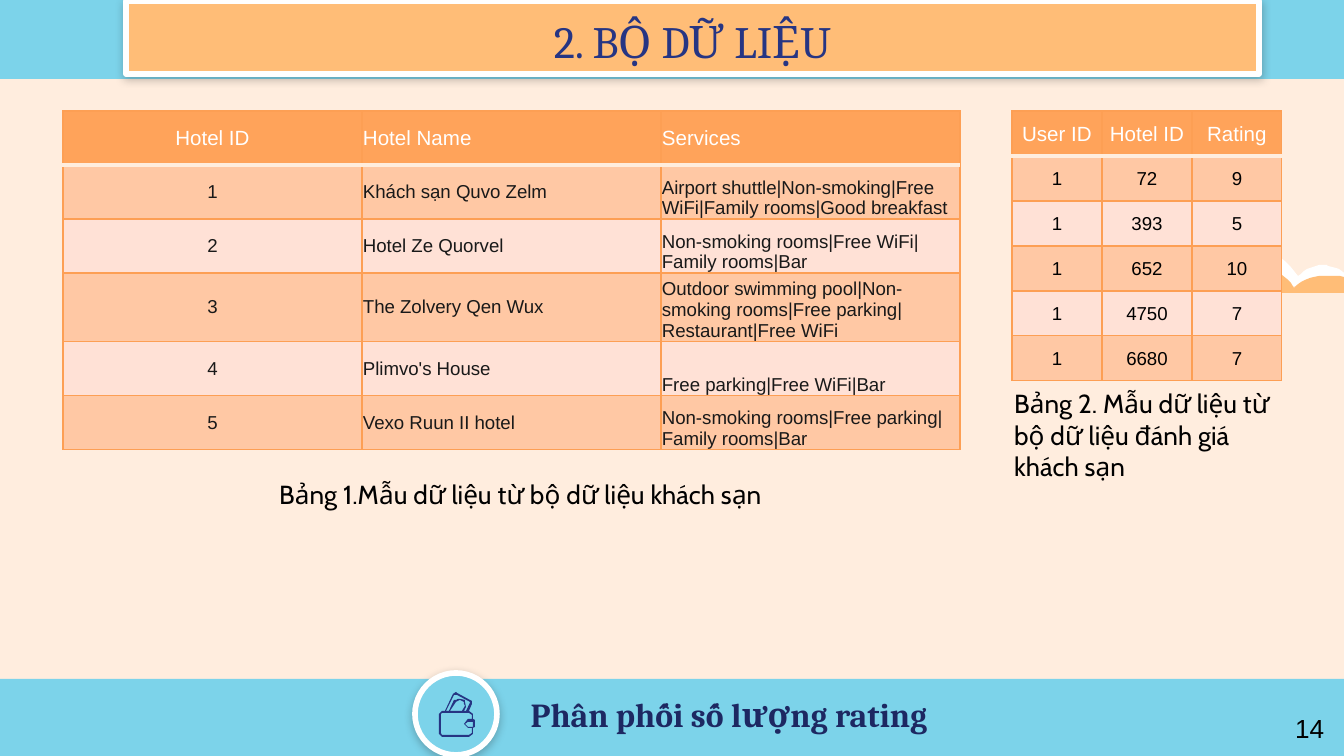
"""Builds a slide with two hotel data tables, a title banner and a footer."""
from lxml import etree
from pptx import Presentation
from pptx.dml.color import RGBColor
from pptx.enum.shapes import MSO_SHAPE
from pptx.enum.text import MSO_ANCHOR, PP_ALIGN
from pptx.oxml import parse_xml
from pptx.oxml.ns import nsdecls, qn
from pptx.util import Emu, Pt

RECT, OVAL = MSO_SHAPE.RECTANGLE, MSO_SHAPE.OVAL
TOP, MIDDLE, BOTTOM = MSO_ANCHOR.TOP, MSO_ANCHOR.MIDDLE, MSO_ANCHOR.BOTTOM
LEFT, CENTER = PP_ALIGN.LEFT, PP_ALIGN.CENTER

SCALE = 914400 / 134.4
INSET = 13

CREAM = RGBColor(0xFF, 0xED, 0xDE)
SKY = RGBColor(0x7C, 0xD3, 0xEA)
APRICOT = RGBColor(0xFF, 0xBD, 0x77)
WHITE = RGBColor(0xFF, 0xFF, 0xFF)
BLACK = RGBColor(0x00, 0x00, 0x00)
INK = RGBColor(0x19, 0x19, 0x19)
NAVY = RGBColor(0x26, 0x35, 0x83)
DARK_NAVY = RGBColor(0x1D, 0x28, 0x62)
HEADER = RGBColor(0xFF, 0xA3, 0x5A)
BORDER = RGBColor(0xFD, 0x9F, 0x54)
BANDS = (RGBColor(0xFF, 0xC8, 0xA4), RGBColor(0xFF, 0xE1, 0xD6))

WHITE_CLOUD = [
    (1253, 247), (1238, 247, 1222, 257, 1218, 271),
    (1214, 269, 1208, 267, 1203, 267), (1198, 267, 1193, 269, 1188, 270),
    (1181, 274, 1176, 280, 1173, 286), (1403, 286),
    (1395, 280, 1386, 277, 1375, 277), (1367, 277, 1359, 278, 1352, 284),
    (1348, 274, 1339, 267, 1328, 266), (1327, 265, 1325, 265, 1322, 265),
    (1314, 265, 1305, 269, 1298, 276), (1289, 262, 1275, 250, 1258, 249)]
APRICOT_CLOUD = [
    (1255, 267), (1251, 267), (1235, 269, 1220, 277, 1210, 290),
    (1206, 286, 1200, 285, 1195, 285), (1192, 285, 1189, 285, 1185, 286),
    (1181, 288, 1177, 290, 1173, 293), (1374, 293),
    (1370, 288, 1363, 282, 1356, 280), (1348, 277, 1339, 276, 1331, 276),
    (1328, 276), (1316, 276, 1302, 278, 1294, 288),
    (1286, 274, 1270, 267, 1255, 267)]
WALLET = [
    [(456, 692), (453, 694), (445, 711), (442, 711), (439, 714), (439, 734),
     (442, 737), (469, 737), (473, 734), (473, 728), (475, 727), (475, 720),
     (473, 719), (473, 714), (469, 711), (472, 704), (472, 701), (470, 700),
     (457, 693)],
    [(469, 713), (472, 715), (472, 719), (468, 719), (464, 724), (468, 728),
     (472, 728), (472, 733), (469, 735), (442, 735), (441, 733), (441, 714),
     (442, 713)],
    [(473, 722), (473, 727), (468, 727), (465, 724), (468, 722)],
    [(456, 695), (457, 695), (470, 702), (470, 703), (466, 711), (464, 711),
     (466, 707), (465, 702), (465, 700), (460, 699), (458, 699), (456, 700),
     (454, 700), (449, 711), (446, 711), (454, 695)],
    [(460, 700), (464, 702), (464, 704), (465, 706), (462, 711), (450, 711),
     (456, 702)]]

HOTELS = [
    ("Hotel ID", "Hotel Name", "Services"),
    ("1", "Khách sạn Quvo Zelm",
     "Airport shuttle|Non-smoking|Free WiFi|Family rooms|Good breakfast"),
    ("2", "Hotel Ze Quorvel", "Non-smoking rooms|Free WiFi|Family rooms|Bar"),
    ("3", "The Zolvery Qen Wux",
     "Outdoor swimming pool|Non-smoking rooms|Free parking|Restaurant|Free WiFi"),
    ("4", "Plimvo's House", "Free parking|Free WiFi|Bar"),
    ("5", "Vexo Ruun II hotel", "Non-smoking rooms|Free parking|Family rooms|Bar")]
RATINGS = [("User ID", "Hotel ID", "Rating"), ("1", "72", "9"), ("1", "393", "5"),
           ("1", "652", "10"), ("1", "4750", "7"), ("1", "6680", "7")]


def px(n):
    """Turn px into EMU."""
    return Emu(round(n * SCALE))


def style_text(p, text, font, size, color, align=LEFT, bold=False):
    """Write one styled paragraph."""
    p.text = text
    p.alignment = align
    p.font.name, p.font.size, p.font.bold = font, Pt(size), bold
    p.font.color.rgb = color


def add_box(shapes, kind, x, y, w, h, fill, raised=False):
    """Add a filled shape, with a white rim and soft shadow if raised."""
    sp = shapes.add_shape(kind, px(x), px(y), px(w), px(h))
    sp.shadow.inherit = False
    sp.fill.solid()
    sp.fill.fore_color.rgb = fill
    if raised:
        sp.line.color.rgb, sp.line.width = WHITE, Pt(3)
        effects = sp._element.spPr.find(qn("a:effectLst"))
        effects.append(parse_xml(
            f'<a:outerShdw {nsdecls("a")} blurRad="{Pt(4.5)}" dist="{Pt(1.5)}" '
            f'dir="5400000" rotWithShape="0"><a:srgbClr val="{INK}">'
            '<a:alpha val="25000"/></a:srgbClr></a:outerShdw>'))
    else:
        sp.line.fill.background()
    return sp


def flatten(segments, steps=8):
    """Turn points and cubic curves into a list of points."""
    points = [segments[0]]
    for seg in segments[1:]:
        if len(seg) == 2:
            points.append(seg)
            continue
        curve = [points[-1], seg[:2], seg[2:4], seg[4:]]
        for i in range(1, steps + 1):
            t = i / steps
            weights = ((1 - t) ** 3, 3 * t * (1 - t) ** 2, 3 * t * t * (1 - t), t ** 3)
            points.append(tuple(sum(k * pt[axis] for k, pt in zip(weights, curve))
                                for axis in (0, 1)))
    return points


def add_outline(shapes, contours, fill):
    """Add one freeform made of closed contours."""
    first, *rest = contours
    builder = shapes.build_freeform(*first[0], scale=SCALE)
    builder.add_line_segments(first[1:], close=True)
    for contour in rest:
        builder.move_to(*contour[0])
        builder.add_line_segments(contour[1:], close=True)
    sp = builder.convert_to_shape()
    sp.shadow.inherit = False
    sp.fill.solid()
    sp.fill.fore_color.rgb = fill
    sp.line.fill.background()


def add_text(shapes, x, y, w, h, text, font, size, color, **style):
    """Add a wrapped text box."""
    tf = shapes.add_textbox(px(x), px(y), px(w), px(h)).text_frame
    tf.word_wrap = True
    style_text(tf.paragraphs[0], text, font, size, color, **style)
    return tf


def set_border(cell, side, color, width):
    """Draw one side of a cell."""
    tag = qn(f"a:ln{side}")
    ln = etree.SubElement(cell._tc.get_or_add_tcPr(), tag, w=str(Pt(width)))
    fill = etree.SubElement(ln, qn("a:solidFill"))
    etree.SubElement(fill, qn("a:srgbClr"), val=str(color))


def add_data_table(shapes, x, y, col_w, row_h, rows, color, layout):
    """Add a banded table; layout gives each column's alignment and anchor."""
    table = shapes.add_table(len(rows), len(layout), px(x), px(y),
                             px(col_w * len(layout)), px(row_h * len(rows))).table
    for col in table.columns:
        col.width = px(col_w)
    for i, values in enumerate(rows):
        table.rows[i].height = px(row_h)
        for j, (value, (align, anchor)) in enumerate(zip(values, layout)):
            cell = table.cell(i, j)
            cell.margin_left = cell.margin_right = cell.margin_top = px(1)
            cell.margin_bottom = 0
            cell.vertical_anchor = anchor if i else MIDDLE
            for side in "LRTB":
                rule = (side, i) in (("B", 0), ("T", 1))
                set_border(cell, side, *((CREAM, 2) if rule else (BORDER, 0.75)))
            cell.fill.solid()
            cell.fill.fore_color.rgb = BANDS[(i - 1) % 2] if i else HEADER
            style_text(cell.text_frame.paragraphs[0], value, "Arial",
                       10 if i else 11, color if i else WHITE, align)


def main():
    """Build and save the slide."""
    prs = Presentation()
    prs.slide_width, prs.slide_height = px(1344), px(756)
    s = prs.slides.add_slide(prs.slide_layouts[6])
    s.background.fill.solid()
    s.background.fill.fore_color.rgb = CREAM
    shapes = s.shapes

    for y in (679, 0):
        add_box(shapes, RECT, 0, y, 1346, 79, SKY)
    add_outline(shapes, [flatten(WHITE_CLOUD)], WHITE)
    add_outline(shapes, [flatten(APRICOT_CLOUD)], APRICOT)

    tf = add_box(shapes, RECT, 126, 1, 1133, 73, APRICOT, raised=True).text_frame
    tf.margin_top = tf.margin_bottom = px(INSET)
    tf.vertical_anchor = TOP
    style_text(tf.paragraphs[0], "2. BỘ DỮ LIỆU", "Cambria", 24, NAVY, CENTER)

    footer = shapes.add_group_shape().shapes
    add_box(footer, OVAL, 415, 673, 82, 82, SKY, raised=True)
    add_outline(footer, WALLET, NAVY)
    tf = add_text(footer, 488, 692, 482, 55, "Phân phối số lượng rating",
                  "Cambria", 18, DARK_NAVY, align=CENTER, bold=True)
    tf.margin_top = tf.margin_bottom = px(INSET)
    tf.vertical_anchor = BOTTOM
    add_text(shapes, 1282, 706, 56, 45, "14", "Arial", 14, BLACK)

    add_data_table(shapes, 63, 111, 299, 54, HOTELS, INK,
                   [(CENTER, MIDDLE), (LEFT, MIDDLE), (LEFT, BOTTOM)])
    add_data_table(shapes, 1012, 111, 90, 45, RATINGS, BLACK, [(CENTER, MIDDLE)] * 3)
    add_text(shapes, 266, 472, 672, 45, "Bảng 1.Mẫu dữ liệu từ bộ dữ liệu khách sạn",
             "Cabin", 14, BLACK)
    add_text(shapes, 1001, 381, 289, 109,
             "Bảng 2. Mẫu dữ liệu từ bộ dữ liệu đánh giá khách sạn", "Cabin", 14, BLACK)
    prs.save("out.pptx")


if __name__ == "__main__":
    main()
